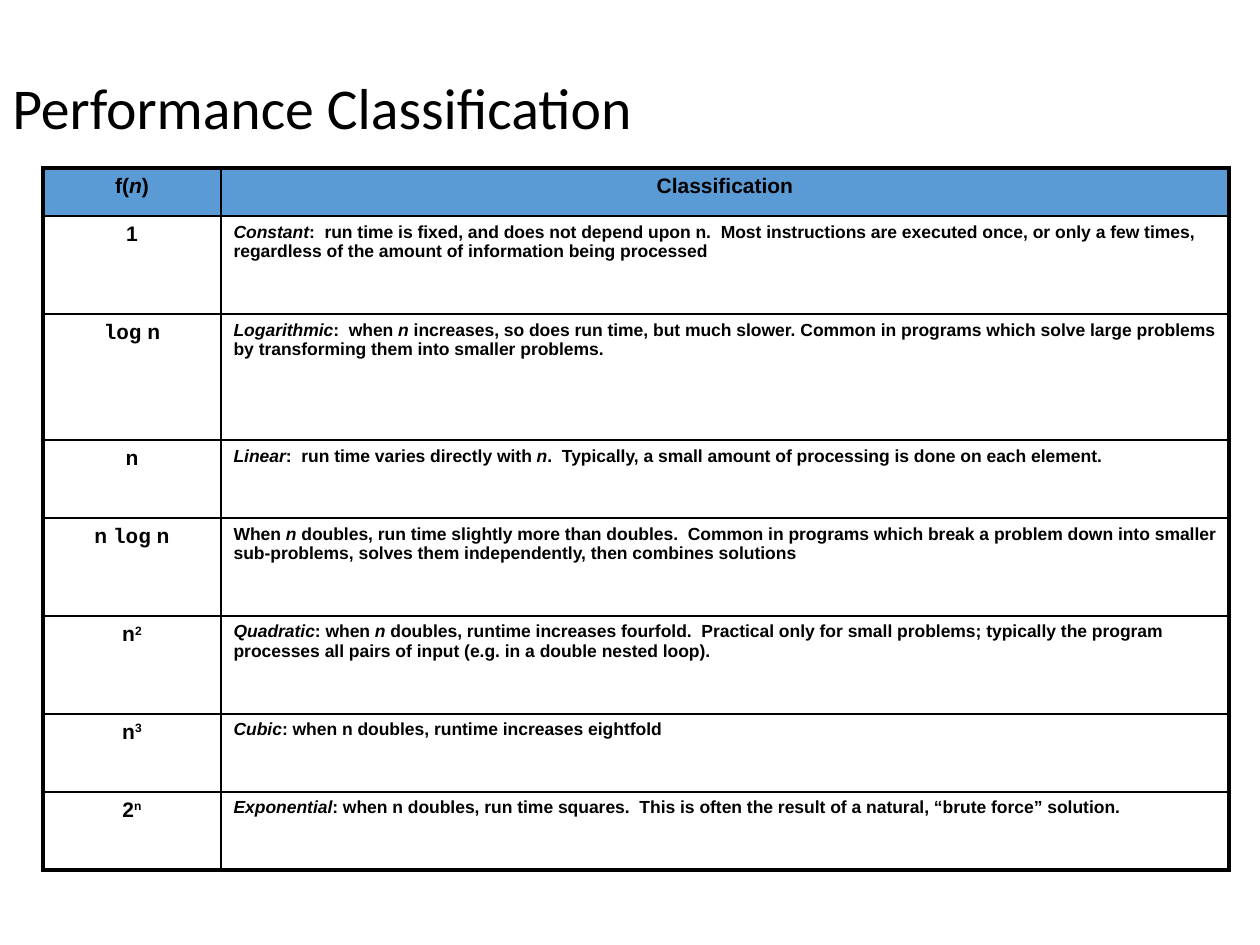
from dataclasses import dataclass

from lxml.etree import SubElement
from pptx import Presentation
from pptx.dml.color import RGBColor
from pptx.enum.text import MSO_ANCHOR as Anchor, PP_ALIGN as Align
from pptx.oxml.ns import qn
from pptx.util import Pt

BLACK, BLUE = "000000", "5B9BD5"
THIN, THICK = 1, 2.25
COLS = [178, 1008]


@dataclass(frozen=True)
class Bit:
    """A stretch of text in one style."""
    text: str
    ital: bool = False
    sup: bool = False
    font: str = "Arial"


@dataclass(frozen=True)
class Row:
    high: int
    name: list[Bit]
    note: list[Bit]
    head: bool = False


def it(text: str) -> Bit:
    return Bit(text, ital=True)


def sup(text: str) -> Bit:
    return Bit(text, sup=True)


LOG = Bit("log", font="Courier New")
N = it("n")

ROWS = [
    Row(48, [Bit("f("), N, Bit(")")], [Bit("Classification")], head=True),
    Row(98, [Bit("1")], [
        it("Constant"),
        Bit(":  run time is fixed, and does not depend upon n.  Most instructions are "
            "executed once, or only a few times, regardless of the amount of "
            "information being processed")]),
    Row(126, [LOG, Bit(" n")], [
        it("Logarithmic"), Bit(":  when "), N,
        Bit(" increases, so does run time, but much slower. Common in programs which "
            "solve large problems by transforming them into smaller problems.")]),
    Row(78, [Bit("n")], [
        it("Linear"), Bit(":  run time varies directly with"), it(" n"),
        Bit(".  Typically, a small amount of processing is done on each element.")]),
    Row(98, [Bit("n "), LOG, Bit(" n")], [
        Bit("When "), N,
        Bit(" doubles, run time slightly more than doubles.  Common in programs which "
            "break a problem down into smaller sub-problems, solves them "
            "independently, then combines solutions")]),
    Row(98, [Bit("n"), sup("2")], [
        it("Quadratic"), Bit(": when "), it("n "),
        Bit("doubles, runtime increases fourfold.  Practical only for small problems; "
            "typically the program processes all pairs of input (e.g. in a double "
            "nested loop).")]),
    Row(78, [Bit("n"), sup("3")], [
        it("Cubic"), Bit(": when n doubles, runtime increases eightfold")]),
    Row(78, [Bit("2"), sup("n")], [
        it("Exponential"),
        Bit(": when n doubles, run time squares.  This is often the result of a "
            "natural, “brute force” solution.")]),
]


def px(n: int) -> int:
    return round(n * 914400 / 126)


def rgb(code: str) -> RGBColor:
    return RGBColor.from_string(code)


def style(font, name: str, size: int) -> None:
    font.name, font.size = name, Pt(size)
    font.color.rgb = rgb(BLACK)


def write(cell, bits: list[Bit], size: int, align: Align) -> None:
    para = cell.text_frame.paragraphs[0]
    para.alignment = align
    gap = SubElement(para._p.get_or_add_pPr(), qn("a:spcBef"))
    SubElement(gap, qn("a:spcPct"), val="20000")
    for bit in bits:
        run = para.add_run()
        run.text = bit.text
        style(run.font, bit.font, size)
        run.font.bold, run.font.italic = True, bit.ital
        if bit.sup:
            run._r.get_or_add_rPr().set("baseline", "30000")


def edge(cell, widths: dict[str, float]) -> None:
    """Draw the cell's borders; widths run in the order L, R, T, B."""
    props = cell._tc.get_or_add_tcPr()
    for side, width in widths.items():
        line = SubElement(props, qn(f"a:ln{side}"), w=str(Pt(width)))
        fill = SubElement(line, qn("a:solidFill"))
        SubElement(fill, qn("a:srgbClr"), val=BLACK)


def paint(cell, head: bool) -> None:
    if head:
        cell.fill.solid()
        cell.fill.fore_color.rgb = rgb(BLUE)
    else:
        cell.fill.background()


def add_title(slide, text: str) -> None:
    box = slide.shapes.add_textbox(0, px(53), px(1260), px(116))
    frame = box.text_frame
    frame.word_wrap = True
    frame.vertical_anchor = Anchor.MIDDLE
    frame.text = text
    para = frame.paragraphs[0]
    para.line_spacing = 0.9
    style(para.runs[0].font, "Calibri", 33)


def add_grid(slide, rows: list[Row]) -> None:
    high = sum(row.high for row in rows)
    table = slide.shapes.add_table(
        len(rows), len(COLS), px(43), px(168), px(sum(COLS)), px(high)).table
    table.first_row = table.horz_banding = False
    for col, wide in zip(table.columns, COLS):
        col.width = px(wide)
    for r, row in enumerate(rows):
        table.rows[r].height = px(row.high)
        for c, bits in enumerate((row.name, row.note)):
            cell = table.cell(r, c)
            note = c == 1 and not row.head
            write(cell, bits, 10 if note else 12, Align.LEFT if note else Align.CENTER)
            outer = {"L": c == 0, "R": c == len(COLS) - 1,
                     "T": r == 0, "B": r == len(rows) - 1}
            edge(cell, {side: THICK if out else THIN for side, out in outer.items()})
            paint(cell, row.head)


def main() -> None:
    deck = Presentation()
    deck.slide_width, deck.slide_height = px(1260), px(945)
    slide = deck.slides.add_slide(deck.slide_layouts[6])
    add_title(slide, "Performance Classification")
    add_grid(slide, ROWS)
    deck.save("out.pptx")


if __name__ == "__main__":
    main()
